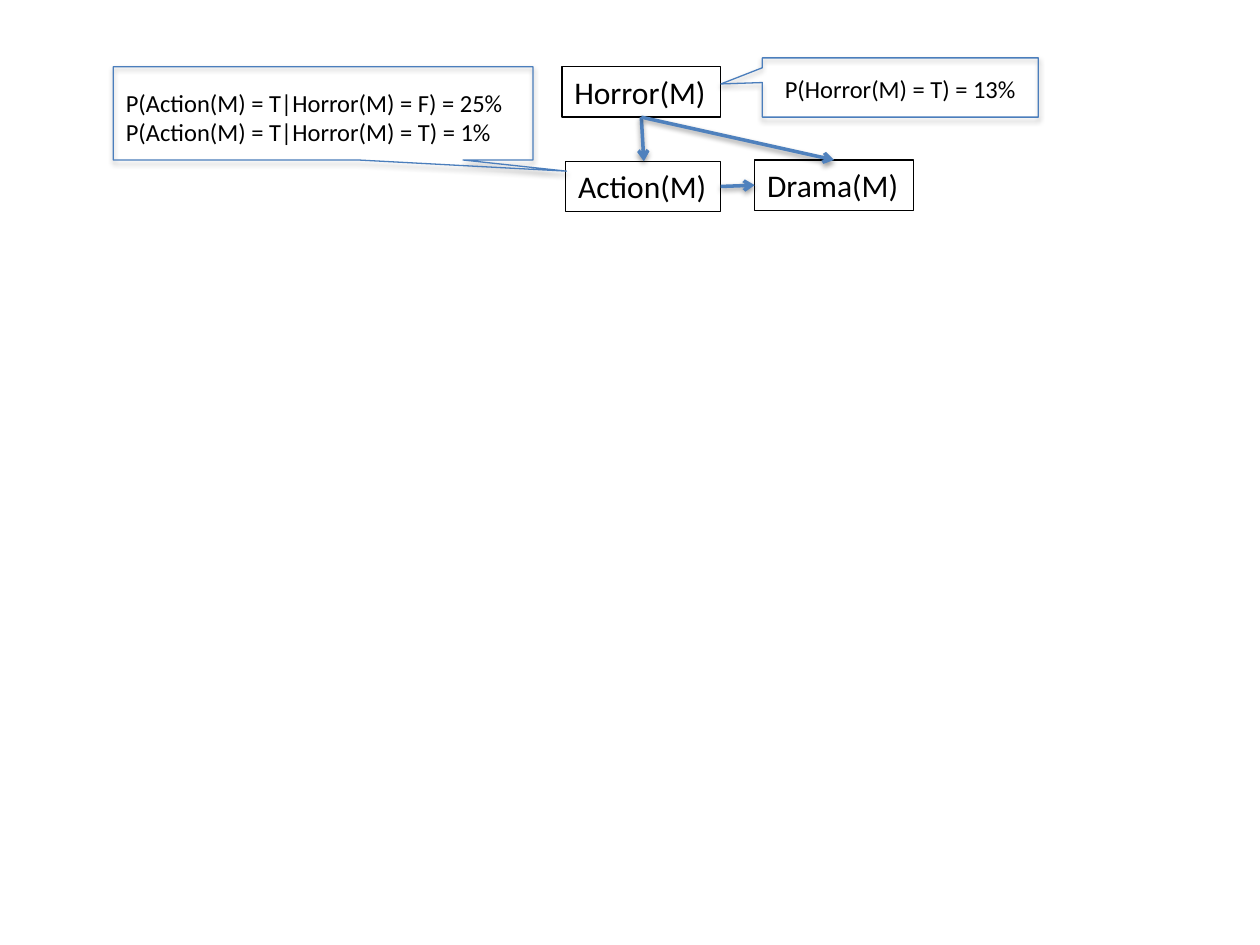
from dataclasses import dataclass

from lxml import etree
from pptx import Presentation
from pptx.dml.color import RGBColor
from pptx.enum.shapes import MSO_CONNECTOR, MSO_SHAPE
from pptx.enum.text import MSO_ANCHOR, PP_ALIGN
from pptx.oxml.ns import qn
from pptx.util import Inches, Pt

RECT = MSO_SHAPE.RECTANGLE
CALLOUT = MSO_SHAPE.RECTANGULAR_CALLOUT
STRAIGHT = MSO_CONNECTOR.STRAIGHT
LEFT = PP_ALIGN.LEFT
TOP = MSO_ANCHOR.TOP
BLACK = "000000"
BLUE = "4F81BD"
EDGE = "4B7EBC"
FONT = "Calibri"


@dataclass
class Box:
    left: float
    top: float
    width: float
    height: float

    def place(self) -> tuple:
        return tuple(map(Inches, (self.left, self.top, self.width, self.height)))


@dataclass
class Node:
    name: str
    box: Box


@dataclass
class Note:
    lines: list[str]
    text: Box
    frame: Box
    tip: tuple[float, float]


@dataclass
class Arrow:
    start: tuple[float, float]
    end: tuple[float, float]


NODES = [
    Node("Drama(M)", Box(5.99, 1.27, 1.26, 0.4)),
    Node("Horror(M)", Box(4.46, 0.53, 1.26, 0.4)),
    Node("Action(M)", Box(4.49, 1.28, 1.23, 0.4)),
]
NOTES = [
    Note(["P(Horror(M) = T) = 13%"], Box(6.13, 0.54, 2.28, 0.34),
         Box(6.05, 0.46, 2.19, 0.47), (-0.65, -0.06)),
    Note(["P(Action(M) = T|Horror(M) = F) = 25%",
          "P(Action(M) = T|Horror(M) = T) = 1%"], Box(0.9, 0.65, 3.33, 0.57),
         Box(0.9, 0.53, 3.33, 0.74), (0.58, 0.62)),
]
ARROWS = [
    Arrow((5.09, 0.93), (5.11, 1.28)),
    Arrow((5.72, 1.48), (5.99, 1.47)),
    Arrow((5.09, 0.93), (6.62, 1.27)),
]


def color(code: str) -> RGBColor:
    return RGBColor.from_string(code)


def stroke(shape, code: str, width: float) -> None:
    shape.line.color.rgb = color(code)
    shape.line.width = Pt(width)


def shade(effects, alpha: int, gap: float) -> None:
    shadow = etree.SubElement(
        effects, qn("a:outerShdw"), blurRad=str(Pt(3.1)), dist=str(Pt(gap)),
        dir="5400000", rotWithShape="0")
    tint = etree.SubElement(shadow, qn("a:srgbClr"), val=BLACK)
    etree.SubElement(tint, qn("a:alpha"), val=str(alpha * 1000))


def write(frame, lines: list[str], size: int, wrap: bool) -> None:
    frame.word_wrap = wrap
    frame.vertical_anchor = TOP
    para = frame.paragraphs[0]
    para.alignment = LEFT
    for index, line in enumerate(lines):
        if index:
            para.add_line_break()
        run = para.add_run()
        run.text = line
        run.font.name = FONT
        run.font.size = Pt(size)
        run.font.color.rgb = color(BLACK)


def draw_shape(slide, kind, box: Box, code: str):
    shape = slide.shapes.add_shape(kind, *box.place())
    shape.fill.background()
    stroke(shape, code, 0.75)
    shape.shadow.inherit = False
    return shape


def draw_node(slide, node: Node) -> None:
    shape = draw_shape(slide, RECT, node.box, BLACK)
    write(shape.text_frame, [node.name], 18, False)


def draw_note(slide, note: Note) -> None:
    label = slide.shapes.add_textbox(*note.text.place())
    write(label.text_frame, note.lines, 14, True)
    shape = draw_shape(slide, CALLOUT, note.frame, EDGE)
    shape.adjustments[0], shape.adjustments[1] = note.tip
    shade(shape.element.spPr.find(qn("a:effectLst")), 35, 1.8)


def draw_arrow(slide, arrow: Arrow) -> None:
    ends = map(Inches, arrow.start + arrow.end)
    link = slide.shapes.add_connector(STRAIGHT, *ends)
    stroke(link, BLUE, 2)
    props = link.element.spPr
    etree.SubElement(props.find(qn("a:ln")), qn("a:tailEnd"), type="arrow")
    shade(etree.SubElement(props, qn("a:effectLst")), 38, 1.6)


def main() -> None:
    deck = Presentation()
    deck.slide_width = Inches(10)
    deck.slide_height = Inches(7.5)
    slide = deck.slides.add_slide(deck.slide_layouts[6])
    for node in NODES:
        draw_node(slide, node)
    for note in NOTES:
        draw_note(slide, note)
    for arrow in ARROWS:
        draw_arrow(slide, arrow)
    deck.save("out.pptx")


main()
